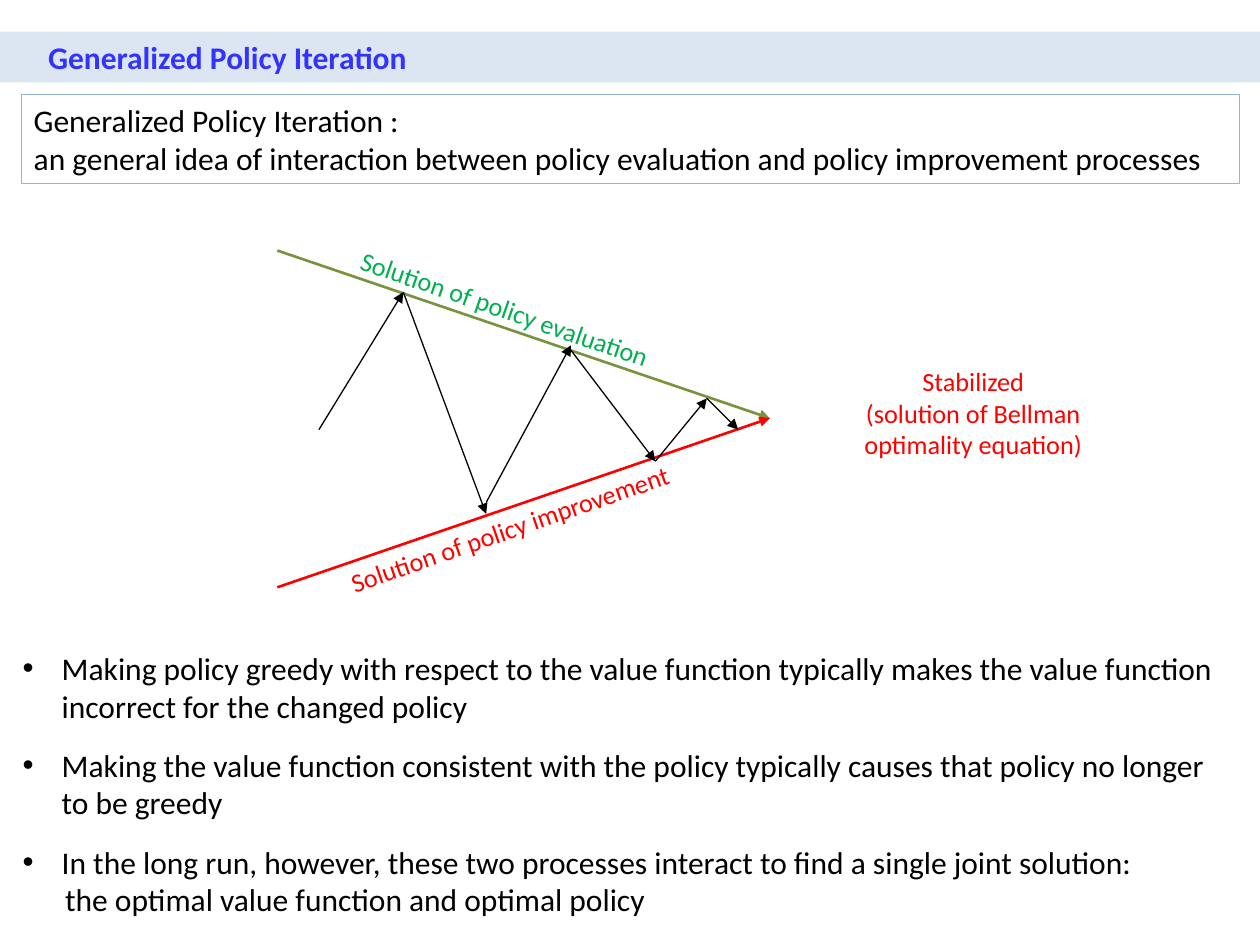
from lxml import etree
from pptx import Presentation
from pptx.dml.color import RGBColor
from pptx.enum.shapes import MSO_CONNECTOR, MSO_SHAPE
from pptx.enum.text import MSO_ANCHOR, MSO_AUTO_SIZE, PP_ALIGN
from pptx.oxml.ns import qn
from pptx.util import Cm, Pt

LINE = MSO_CONNECTOR.STRAIGHT
RECT = MSO_SHAPE.RECTANGLE
TOP, MID = MSO_ANCHOR.TOP, MSO_ANCHOR.MIDDLE
LEFT, MIDDLE = PP_ALIGN.LEFT, PP_ALIGN.CENTER
FIXED = MSO_AUTO_SIZE.NONE

THEME = {
    "font": "Calibri", "main": 18, "label": 15, "gap": 12.2,
    "thick": 1.5, "thin": 0.75,
    "blue": "3333FF", "band": "DCE6F2", "edge": "95B3D7",
    "olive": "77933C", "green": "00B050", "red": "FF0000", "black": "000000",
}

TITLE = "Generalized Policy Iteration"
IDEA = [
    "Generalized Policy Iteration :",
    "an general idea of interaction between policy evaluation and policy improvement processes",
]
POINTS = [
    ("•", "Making policy greedy with respect to the value function typically makes the value function incorrect for the changed policy"),
    ("•", "Making the value function consistent with the policy typically causes that policy no longer to be greedy"),
    ("•", "In the long run, however, these two processes interact to find a single joint solution:"),
    ("", "the optimal value function and optimal policy"),
]
LABELS = [
    (["Stabilized", "(solution of Bellman optimality equation)"],
     (16.66, 7.24, 5.92, 2.18), 0, "red", MIDDLE),
    (["Solution of policy evaluation"], (6.83, 6.1, 8.53, 0.89), 19.1, "green", LEFT),
    (["Solution of policy improvement"], (6.58, 9.78, 9.86, 0.89), -19.2, "red", LEFT),
]
GOAL = (15.52, 8.43)
BOUNDS = [((5.59, 5.05), "olive"), ((5.59, 11.84), "red")]
PATHS = [
    [(6.43, 8.66), (8.13, 5.89), (9.8, 10.36)],
    [(9.8, 10.13), (11.51, 6.96)],
    [(11.51, 7.06), (13.21, 9.3), (14.25, 8.03), (14.88, 8.66)],
]


def color(name):
    return RGBColor.from_string(THEME[name])


def place(shape, box):
    shape.left, shape.top, shape.width, shape.height = map(Cm, box)


def write(shape, lines, size, tint, align=LEFT, anchor=TOP, bold=False):
    frame = shape.text_frame
    frame.text = "\n".join(lines)
    frame.word_wrap = True
    frame.auto_size = FIXED
    frame.vertical_anchor = anchor
    for para in frame.paragraphs:
        para.alignment = align
        para.space_before = Pt(0)
        for run in para.runs:
            font = run.font
            font.name, font.size, font.bold = THEME["font"], Pt(THEME[size]), bold
            font.color.rgb = color(tint)
    return frame


def arrow(slide, start, end, tint, width):
    link = slide.shapes.add_connector(LINE, *map(Cm, start + end))
    link.line.color.rgb = color(tint)
    link.line.width = Pt(THEME[width])
    etree.SubElement(link.line._get_or_add_ln(), qn("a:tailEnd"), type="triangle")
    etree.SubElement(link._element.spPr, qn("a:effectLst"))


def bullet(para, mark):
    props = para._p.get_or_add_pPr()
    props.set("marL", str(Cm(0.79 if mark else 0.86)))
    props.set("indent", str(Cm(-0.79 if mark else 0)))
    if mark:
        etree.SubElement(props, qn("a:buFont"), typeface="Arial")
        etree.SubElement(props, qn("a:buChar"), char=mark)
    else:
        etree.SubElement(props, qn("a:buNone"))


def main():
    deck = Presentation()
    deck.slide_width, deck.slide_height = Cm(25.4), Cm(19.05)
    slide = deck.slides.add_slide(deck.slide_layouts[1])
    shapes = slide.shapes

    title = shapes.title
    place(title, (0, 0.64, 25.4, 1.02))
    title.fill.solid()
    title.fill.fore_color.rgb = color("band")
    write(title, [TITLE], "main", "blue", anchor=MID, bold=True).margin_left = Cm(0.97)

    idea = shapes.add_shape(RECT, *map(Cm, (0.43, 1.9, 24.56, 1.8)))
    idea.shadow.inherit = False
    idea.fill.background()
    idea.line.color.rgb = color("edge")
    idea.line.width = Pt(THEME["thin"])
    write(idea, IDEA, "main", "black", anchor=MID)

    for start, tint in BOUNDS:
        arrow(slide, start, GOAL, tint, "thick")
    for path in PATHS:
        for start, end in zip(path, path[1:]):
            arrow(slide, start, end, "black", "thin")

    for lines, box, turn, tint, align in LABELS:
        label = shapes.add_textbox(*map(Cm, box))
        label.rotation = turn
        write(label, lines, "label", tint, align)

    body = slide.placeholders[1]
    place(body, (0.2, 12.95, 24.82, 5.74))
    frame = write(body, [text for _, text in POINTS], "main", "black")
    for i, (para, (mark, _)) in enumerate(zip(frame.paragraphs, POINTS)):
        bullet(para, mark)
        if i and mark:
            para.space_before = Pt(THEME["gap"])

    deck.save("out.pptx")


if __name__ == "__main__":
    main()
